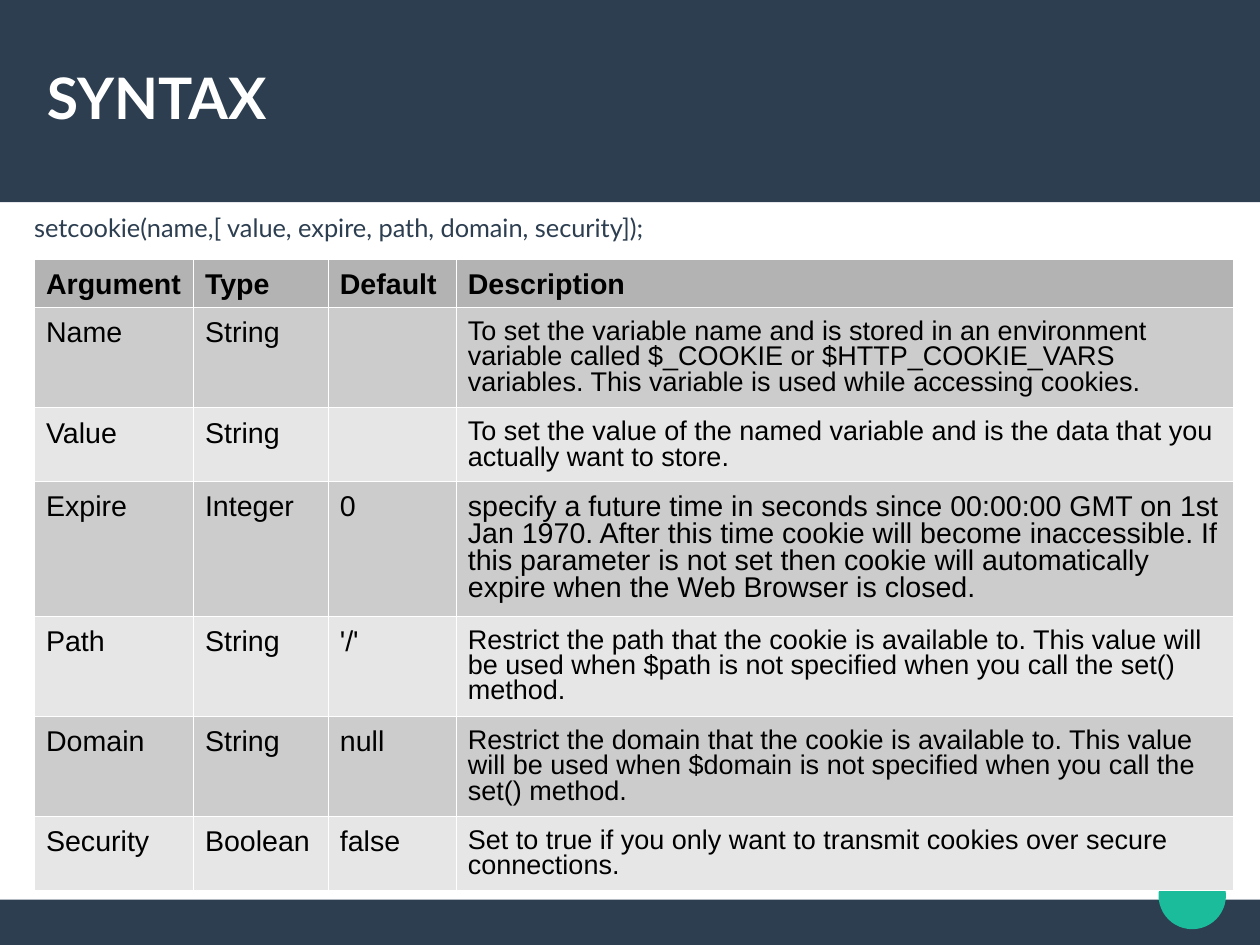
from dataclasses import dataclass

from lxml.etree import SubElement
from pptx import Presentation
from pptx.dml.color import RGBColor
from pptx.enum.shapes import MSO_SHAPE
from pptx.enum.text import MSO_ANCHOR
from pptx.oxml.ns import qn
from pptx.util import Cm, Inches, Length, Pt

COLOURS = {
    "navy": "2C3E50",
    "teal": "1ABC9C",
    "white": "FFFFFF",
    "black": "000000",
    "header": "B3B3B3",
    "odd": "CCCCCC",
    "even": "E6E6E6",
}
SLIDE_WIDTH, SLIDE_HEIGHT = Cm(28), Cm(21)


@dataclass(frozen=True)
class Area:
    """Left, top, width and height in percent of the slide."""

    left: float
    top: float
    width: float
    height: float

    def lengths(self) -> tuple[Length, Length, Length, Length]:
        return across(self.left), down(self.top), across(self.width), down(self.height)


@dataclass(frozen=True)
class Decoration:
    kind: MSO_SHAPE
    area: Area
    colour: str


@dataclass(frozen=True)
class Caption:
    text: str
    area: Area
    size: int
    colour: str
    bold: bool
    anchor: MSO_ANCHOR
    spacing: float


@dataclass(frozen=True)
class Argument:
    name: str
    type: str
    default: str
    description: str
    height: float
    description_size: int = 17


DECORATIONS = [
    Decoration(MSO_SHAPE.RECTANGLE, Area(0, 95.2, 100, 4.8), "navy"),
    Decoration(MSO_SHAPE.RECTANGLE, Area(0, 0, 100, 21.4), "navy"),
    Decoration(MSO_SHAPE.OVAL, Area(91.95, 91.2, 5.35, 7.13), "teal"),
]
CAPTIONS = [
    Caption("SYNTAX", Area(3.72, 3.9, 92.6, 12.6), 36, "white", True, MSO_ANCHOR.MIDDLE, 1),
    Caption("setcookie(name,[ value, expire, path, domain, security]);",
            Area(2.72, 23.1, 92.7, 4.1), 16, "navy", False, MSO_ANCHOR.TOP, 0.78),
]
TABLE_LEFT, TABLE_TOP = 2.75, 27.45
COLUMN_WIDTHS = [12.62, 10.7, 10.16, 61.7]
ARGUMENTS = [
    Argument("Argument", "Type", "Default", "Description", 5.05, 18),
    Argument("Name", "String", "",
             "To set the variable name and is stored in an environment variable called $_COOKIE "
             "or $HTTP_COOKIE_VARS variables. This variable is used while accessing cookies.", 10.6),
    Argument("Value", "String", "",
             "To set the value of the named variable and is the data that you actually want to store.", 7.8),
    Argument("Expire", "Integer", "0",
             "specify a future time in seconds since 00:00:00 GMT on 1st Jan 1970. After this time "
             "cookie will become inaccessible. If this parameter is not set then cookie will "
             "automatically expire when the Web Browser is closed.", 14.2, 18),
    Argument("Path", "String", "'/'",
             "Restrict the path that the cookie is available to. This value will be used when $path "
             "is not specified when you call the set() method.", 10.6),
    Argument("Domain", "String", "null",
             "Restrict the domain that the cookie is available to. This value will be used when "
             "$domain is not specified when you call the set() method.", 10.6),
    Argument("Security", "Boolean", "false",
             "Set to true if you only want to transmit cookies over secure connections.", 7.8),
]


def across(percent: float) -> Length:
    return Length(round(SLIDE_WIDTH * percent / 100))


def down(percent: float) -> Length:
    return Length(round(SLIDE_HEIGHT * percent / 100))


def colour_of(name: str) -> RGBColor:
    return RGBColor.from_string(COLOURS[name])


def write(frame, text: str, face: str, size: int, colour: str, bold: bool, spacing: float) -> None:
    para = frame.paragraphs[0]
    para.text = text
    para.line_spacing = spacing
    para.font.name = face
    para.font.size = Pt(size)
    para.font.bold = bold
    para.font.color.rgb = colour_of(colour)


def draw_decoration(page, decoration: Decoration) -> None:
    shape = page.shapes.add_shape(decoration.kind, *decoration.area.lengths())
    shape.shadow.inherit = False
    shape.fill.solid()
    shape.fill.fore_color.rgb = colour_of(decoration.colour)
    shape.line.fill.background()


def draw_caption(page, caption: Caption) -> None:
    frame = page.shapes.add_textbox(*caption.area.lengths()).text_frame
    frame.word_wrap = True
    frame.vertical_anchor = caption.anchor
    frame.margin_left = frame.margin_top = frame.margin_right = frame.margin_bottom = 0
    write(frame, caption.text, "Lato", caption.size, caption.colour, caption.bold, caption.spacing)


def add_borders(cell) -> None:
    properties = cell._tc.get_or_add_tcPr()
    for position, side in enumerate(("a:lnL", "a:lnR", "a:lnT", "a:lnB")):
        border = SubElement(properties, qn(side), w=str(Pt(0.75)))
        fill = SubElement(border, qn("a:solidFill"))
        SubElement(fill, qn("a:srgbClr"), val=COLOURS["white"])
        properties.insert(position, border)


def draw_cell(cell, text: str, size: int, fill: str, bold: bool) -> None:
    cell.margin_left = cell.margin_right = Inches(0.1)
    cell.margin_top = Inches(0.12 if size == 18 else 0.11)
    cell.margin_bottom = Inches(0.05)
    cell.fill.solid()
    cell.fill.fore_color.rgb = colour_of(fill)
    add_borders(cell)
    write(cell.text_frame, text, "Arial", size, "black", bold, 0.84)


def draw_arguments(page) -> None:
    area = Area(TABLE_LEFT, TABLE_TOP, sum(COLUMN_WIDTHS), sum(row.height for row in ARGUMENTS))
    table = page.shapes.add_table(len(ARGUMENTS), len(COLUMN_WIDTHS), *area.lengths()).table
    table.horz_banding = False
    for column, width in zip(table.columns, COLUMN_WIDTHS):
        column.width = across(width)
    for index, argument in enumerate(ARGUMENTS):
        table.rows[index].height = down(argument.height)
        fill = "header" if index == 0 else "odd" if index % 2 else "even"
        texts = [argument.name, argument.type, argument.default, argument.description]
        sizes = [18, 18, 18, argument.description_size]
        for column, (text, size) in enumerate(zip(texts, sizes)):
            draw_cell(table.cell(index, column), text, size, fill, index == 0)


def main() -> None:
    deck = Presentation()
    deck.slide_width, deck.slide_height = SLIDE_WIDTH, SLIDE_HEIGHT
    page = deck.slides.add_slide(deck.slide_layouts[6])
    for decoration in DECORATIONS:
        draw_decoration(page, decoration)
    for caption in CAPTIONS:
        draw_caption(page, caption)
    draw_arguments(page)
    deck.save("out.pptx")


if __name__ == "__main__":
    main()
